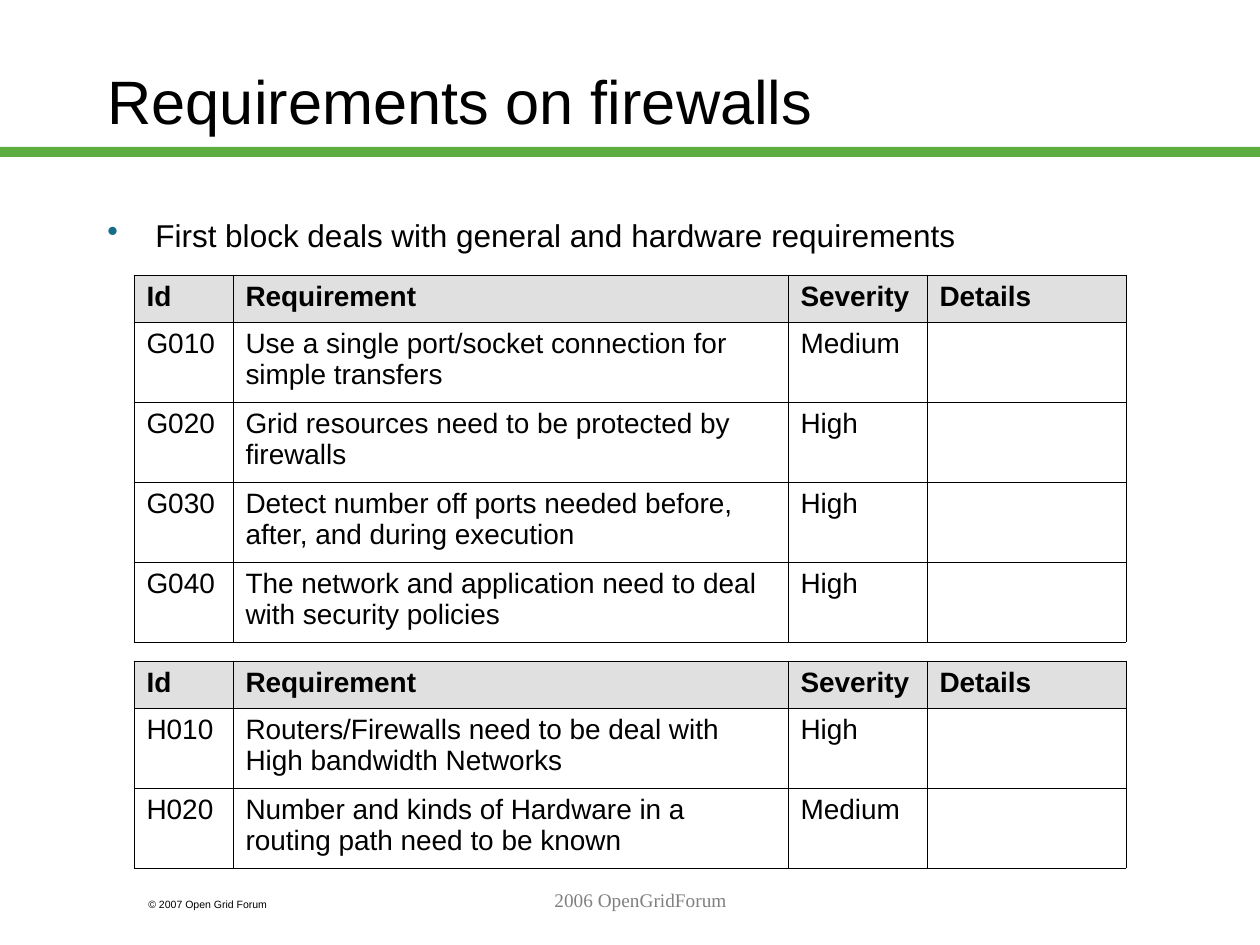
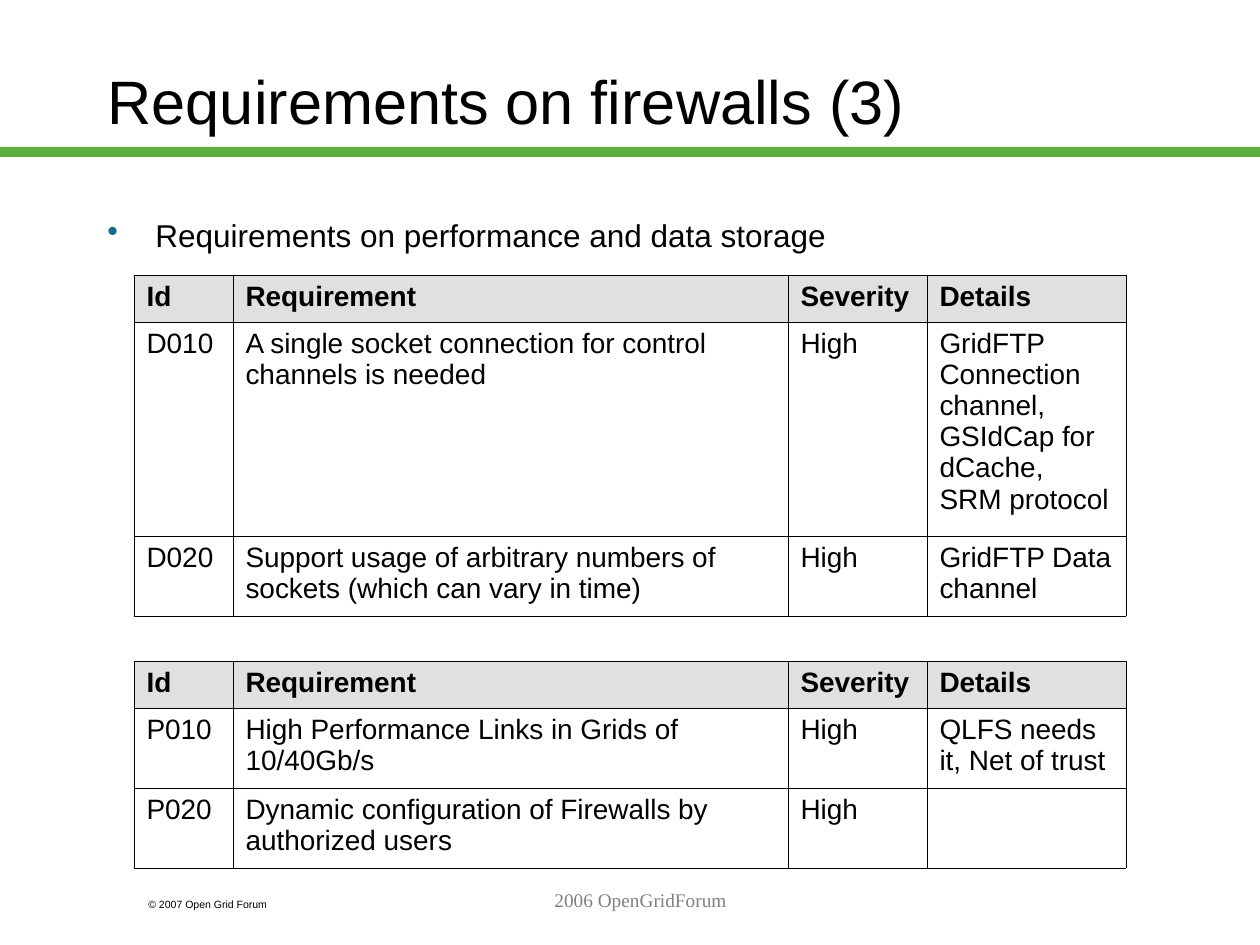
"""Build two slides of firewall requirement tables."""
from lxml import etree
from pptx import Presentation
from pptx import util as u
from pptx.dml.color import RGBColor
from pptx.enum import shapes, text
from pptx.oxml.ns import qn

COLORS = {"ink": "000000", "band": "5DAD41", "header": "E0E0E0",
          "bullet": "176D89", "footer": "808080"}
PX_PER_INCH = 126
COLUMN_WIDTHS = (99, 555, 139, 199)
HEADINGS = ("Id", "Requirement", "Severity", "Details")
HEADER_HEIGHT, ROW_HEIGHT, TALL_ROW_HEIGHT = 47, 80, 214
TABLE_LEFT, UPPER_TOP, LOWER_TOP = 134, 275, 661

SLIDES = [
    ("Requirements on firewalls",
     "First block deals with general and hardware requirements",
     [("G010", "Use a single port/socket connection for simple transfers", "Medium", ""),
      ("G020", "Grid resources need to be protected by firewalls", "High", ""),
      ("G030", "Detect number off ports needed before, after, and during execution", "High", ""),
      ("G040", "The network and application need to deal with security policies", "High", "")],
     [("H010", "Routers/Firewalls need to be deal with High bandwidth Networks", "High", ""),
      ("H020", "Number and kinds of Hardware in a routing path need to be known", "Medium", "")],
     {}),
    ("Requirements on firewalls (3)",
     "Requirements on performance and data storage",
     [("D010", "A single socket connection for control channels is needed", "High",
       "GridFTP Connection channel, GSIdCap for dCache, SRM protocol"),
      ("D020", "Support usage of arbitrary numbers of sockets (which can vary in time)", "High",
       "GridFTP Data channel")],
     [("P010", "High Performance Links in Grids of 10/40Gb/s", "High",
       "QLFS needs it, Net of trust"),
      ("P020", "Dynamic configuration of Firewalls by authorized users", "High", "")],
     {1: TALL_ROW_HEIGHT}),
]


def px(length):
    return u.Emu(round(length * 914400 / PX_PER_INCH))


def write(frame, words, size=16, color="ink", font="Arial", bold=False,
          align=text.PP_ALIGN.LEFT, bullet=None, indent=0):
    para = frame.paragraphs[0]
    if bullet:
        props = para._p.get_or_add_pPr()
        props.set("marL", str(px(indent)))
        props.set("indent", str(-px(indent)))
        tint = etree.SubElement(props, qn("a:buClr"))
        etree.SubElement(tint, qn("a:srgbClr"), val=COLORS["bullet"])
        etree.SubElement(props, qn("a:buChar"), char=bullet)
    para.alignment = align
    if words:
        span = para.add_run()
        span.text = words
        style = span.font
    else:
        style = para.font
    style.size, style.name, style.bold = u.Pt(size), font, bold
    style.color.rgb = RGBColor.from_string(COLORS[color])


class Page:
    """Hold the shared style and the current slide."""

    def __init__(self, deck):
        self.slide = deck.slides.add_slide(deck.slide_layouts[5])

    def title(self, words):
        box = self.slide.shapes.title
        box.left, box.top, box.width, box.height = map(px, (95, 21, 1071, 158))
        frame = box.text_frame
        frame.auto_size = text.MSO_AUTO_SIZE.NONE
        frame.vertical_anchor = text.MSO_ANCHOR.MIDDLE
        write(frame, words, size=35)

    def band(self, *place):
        band = self.slide.shapes.add_shape(shapes.MSO_SHAPE.RECTANGLE, *map(px, place))
        band.shadow.inherit = False
        band.fill.solid()
        band.fill.fore_color.rgb = RGBColor.from_string(COLORS["band"])
        band.line.fill.background()

    def label(self, words, *place, **style):
        frame = self.slide.shapes.add_textbox(*map(px, place)).text_frame
        frame.word_wrap = True
        write(frame, words, **style)

    def cell(self, cell, words, header):
        write(cell.text_frame, words, bold=header)
        props = cell._tc.get_or_add_tcPr()
        for side in ("lnL", "lnR", "lnT", "lnB"):
            line = etree.SubElement(props, qn(f"a:{side}"), w=str(u.Pt(0.45)))
            fill = etree.SubElement(line, qn("a:solidFill"))
            etree.SubElement(fill, qn("a:srgbClr"), val=COLORS["ink"])
        if header:
            cell.fill.solid()
            cell.fill.fore_color.rgb = RGBColor.from_string(COLORS["header"])
        else:
            cell.fill.background()

    def table(self, top, requirements, special_heights):
        rows = [HEADINGS, *requirements]
        heights = [HEADER_HEIGHT] + [ROW_HEIGHT] * len(requirements)
        for index, height in special_heights.items():
            heights[index] = height
        place = (TABLE_LEFT, top, sum(COLUMN_WIDTHS), sum(heights))
        table = self.slide.shapes.add_table(len(rows), len(HEADINGS), *map(px, place)).table
        table.first_row = table.horz_banding = False
        for column, width in zip(table.columns, COLUMN_WIDTHS):
            column.width = px(width)
        for index, (row, height, entries) in enumerate(zip(table.rows, heights, rows)):
            row.height = px(height)
            for cell, words in zip(row.cells, entries):
                self.cell(cell, words, header=index == 0)


def main():
    deck = Presentation()
    deck.slide_width, deck.slide_height = px(1260), px(945)
    for title, topic, upper, lower, upper_heights in SLIDES:
        page = Page(deck)
        page.band(0, 147, 1260, 10)
        page.title(title)
        page.label(topic, 95, 210, 1061, 60, size=18, bullet="•", indent=48)
        page.table(UPPER_TOP, upper, upper_heights)
        page.table(LOWER_TOP, lower, {})
        page.label("© 2007 Open Grid Forum", 136, 892, 189, 25, size=6)
        page.label("2006 OpenGridForum", 273, 882, 735, 63, size=11, color="footer",
                   font="Times New Roman", align=text.PP_ALIGN.CENTER)
    deck.save("out.pptx")


if __name__ == "__main__":
    main()
